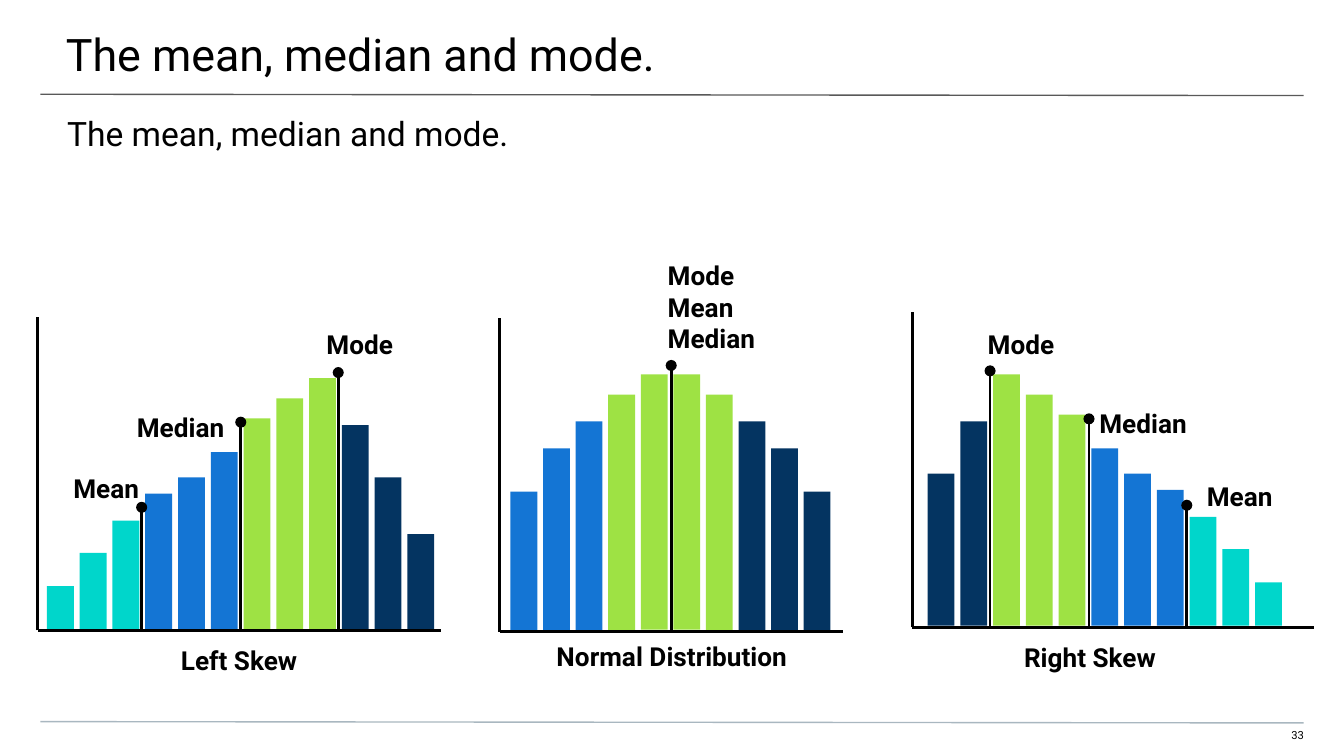
from lxml import etree
from pptx import Presentation
from pptx.dml.color import RGBColor
from pptx.enum.shapes import MSO_CONNECTOR, MSO_SHAPE
from pptx.enum.text import MSO_ANCHOR, PP_ALIGN
from pptx.oxml.ns import qn
from pptx.util import Pt

LEFT, MID, RIGHT = PP_ALIGN.LEFT, PP_ALIGN.CENTER, PP_ALIGN.RIGHT
TOP, CENTER = MSO_ANCHOR.TOP, MSO_ANCHOR.MIDDLE
RECT, LINE = MSO_SHAPE.RECTANGLE, MSO_CONNECTOR.STRAIGHT
BLACK = RGBColor(0x00, 0x00, 0x00)
GRAY = RGBColor(0x59, 0x59, 0x59)
PALE = RGBColor(0xA9, 0xB7, 0xC0)
TEAL = RGBColor(0x00, 0xD6, 0xCB)
BLUE = RGBColor(0x14, 0x75, 0xD4)
LIME = RGBColor(0x9E, 0xE2, 0x44)
NAVY = RGBColor(0x04, 0x34, 0x61)

deck = Presentation()
deck.slide_width, deck.slide_height = Pt(720), Pt(405)
slide = deck.slides.add_slide(deck.slide_layouts[6])


def add_text(text, box, size=14, bold=True, align=LEFT, anchor=CENTER, pad=(7.2, 7.2, 7.2, 7.2)):
    frame = slide.shapes.add_textbox(*map(Pt, box)).text_frame
    frame.word_wrap = True
    frame.vertical_anchor = anchor
    frame.margin_left, frame.margin_top, frame.margin_right, frame.margin_bottom = map(Pt, pad)
    para = frame.paragraphs[0]
    para.text = text
    para.alignment = align
    para.font.name = "Roboto"
    para.font.size = Pt(size)
    para.font.bold = bold
    para.font.color.rgb = BLACK


def add_line(x1, y1, x2, y2, color=BLACK, width=1.5, dot=False):
    line = slide.shapes.add_connector(LINE, Pt(x1), Pt(y1), Pt(x2), Pt(y2))
    line.line.color.rgb = color
    line.line.width = Pt(width)
    props = line._element.spPr
    if dot:
        etree.SubElement(props.find(qn("a:ln")), qn("a:headEnd"), type="oval")
    etree.SubElement(props, qn("a:effectLst"))


add_line(21.6, 50.5, 698.4, 51.2, GRAY, 0.75)
add_line(21.6, 386.6, 698.4, 387.3, PALE, 0.75)
add_text("33", (677.5, 390.2, 21, 8.6), 6, False, RIGHT, TOP, (0, 0, 0, 7.2))
add_text("The mean, median and mode.", (-0.7, 0, 722, 41.8), 24, False, LEFT, TOP, (36, 14.4, 21.6, 7.2))
add_text("The mean, median and mode.", (0, 53.3, 720, 28.8), 18, False, LEFT, TOP, (36, 7.2, 36, 0))

skew = [23.2, 41, 58.3, 72.7, 81.4, 95, 113, 123.8, 134.6, 109.4, 81.4, 51]
tones = [TEAL] * 3 + [BLUE] * 3 + [LIME] * 3 + [NAVY] * 3
half = [74, 97.2, 111.6, 126, 136.8]
blend = [BLUE] * 3 + [LIME] * 4 + [NAVY] * 3

plots = [
    (25.2, 17.55, 337.2, skew, tones,
     (20.2, 170, 236.2, 337.7),
     [(75.9, 271.8), (129, 226.2), (181.2, 199.6)]),
    (273.5, 17.45, 337.4, half + half[::-1], blend,
     (267.8, 170.6, 451.4, 338.4),
     [(359.6, 195.8)]),
    (496.9, 17.55, 335.2, skew[10::-1], tones[10::-1],
     (488.7, 167, 704, 336),
     [(530.4, 198.7), (583.4, 224.4), (635.8, 270.7)]),
]
for left, step, base, highs, hues, axis, stems in plots:
    for i, (high, hue) in enumerate(zip(highs, hues)):
        bar = slide.shapes.add_shape(RECT, Pt(left + i * step), Pt(base - high), Pt(14.4), Pt(high))
        bar.shadow.inherit = False
        bar.fill.solid()
        bar.fill.fore_color.rgb = hue
        bar.line.fill.background()
    x1, y1, x2, y2 = axis
    add_line(x1, y2, x1, y1)
    add_line(x1, y2, x2, y2)
    for x, y in stems:
        add_line(x, y, x, y2, dot=True)

for text, x, y, wide in [
    ("Left Skew", 18, 339.4, 220.3),
    ("Normal Distribution", 267.8, 337.2, 184.3),
    ("Right Skew", 473.8, 337.8, 220.3),
]:
    add_text(text, (x, y, wide, 28.8), align=MID)

for text, x, y in [
    ("Mean", 32.2, 247),
    ("Median", 66.2, 214.4),
    ("Mode", 167.8, 170),
    ("Mode Mean Median", 350.6, 150),
    ("Mode", 522, 170),
    ("Median", 581.8, 212.4),
    ("Mean", 639.4, 251.3),
]:
    add_text(text, (x, y, 70.6, 28.8))

deck.save("out.pptx")
